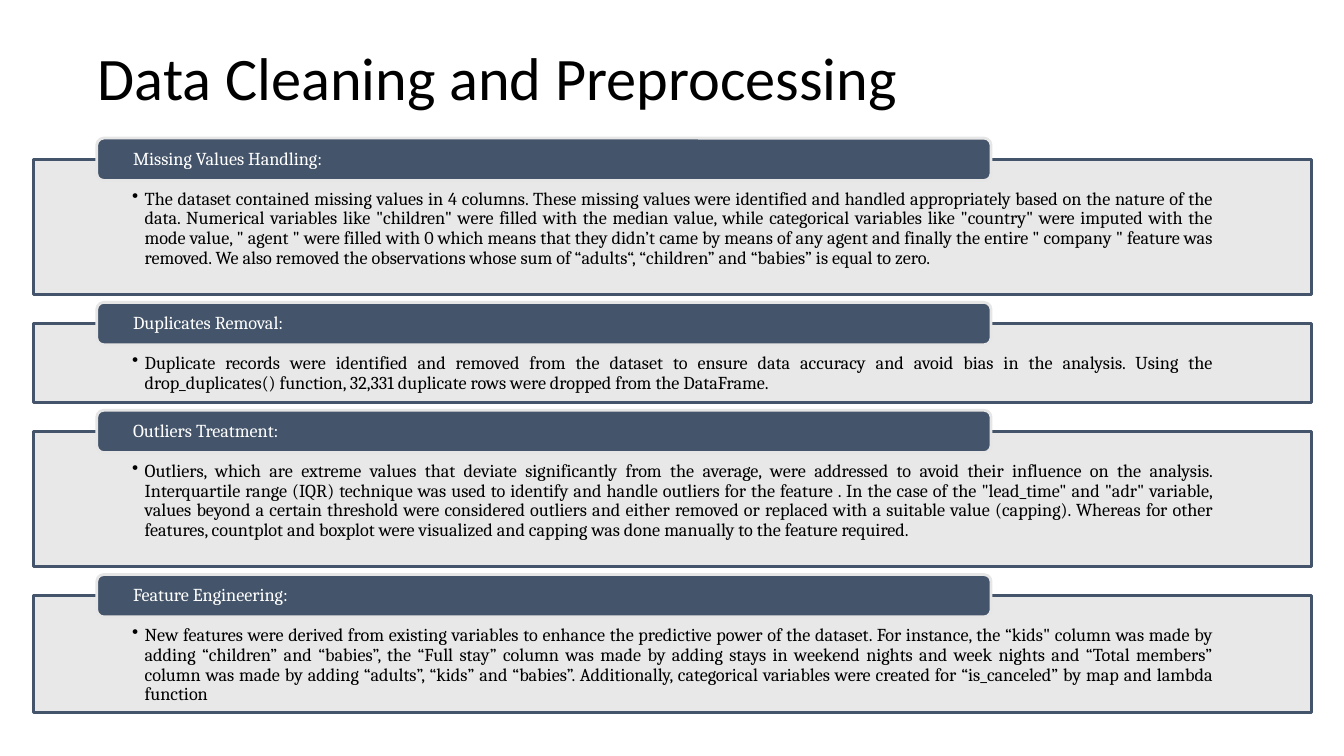
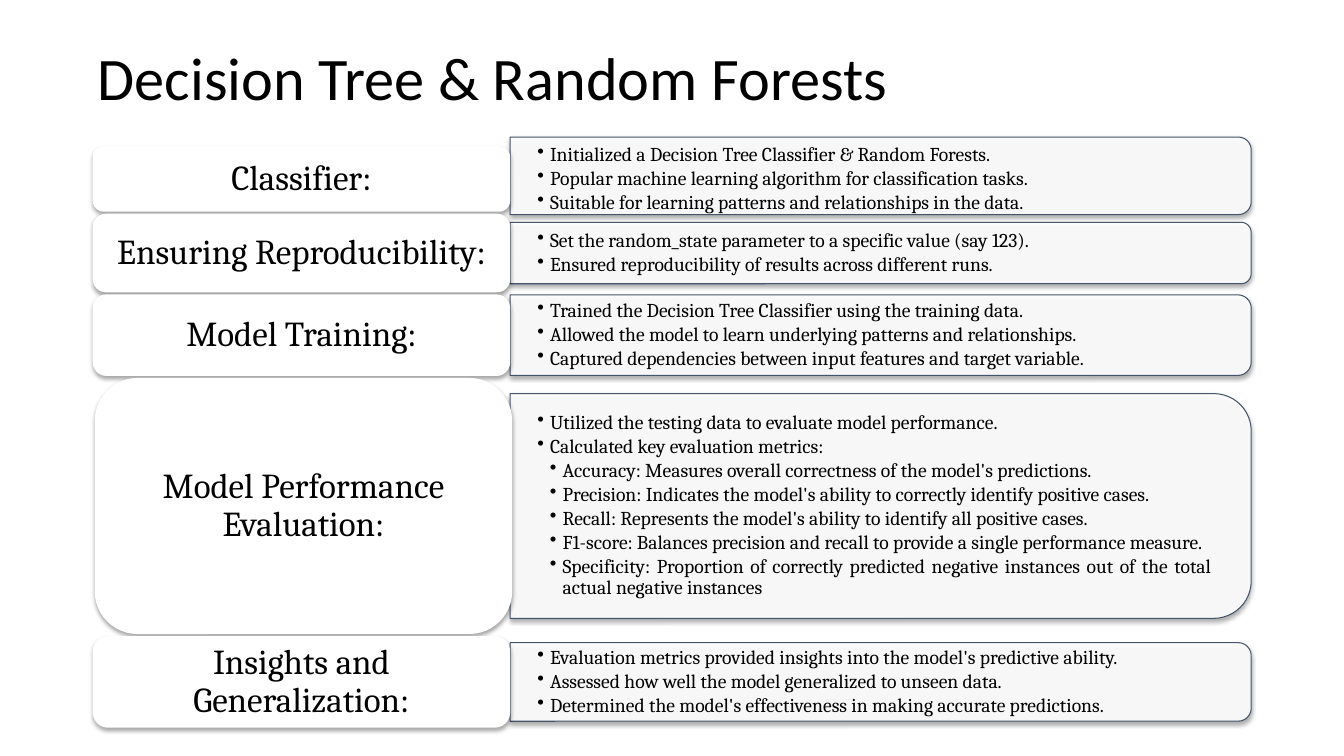
"""Build two slides on data preparation and tree-based classifiers."""
from dataclasses import dataclass

from lxml import etree
from pptx import Presentation
from pptx.dml.color import RGBColor
from pptx.enum.shapes import MSO_SHAPE
from pptx.enum.text import MSO_ANCHOR, MSO_AUTO_SIZE, PP_ALIGN
from pptx.oxml.ns import qn
from pptx.util import Inches, Pt

RECTANGLE = MSO_SHAPE.RECTANGLE
ROUNDED = MSO_SHAPE.ROUNDED_RECTANGLE
TOP_ROUNDED = MSO_SHAPE.ROUND_2_SAME_RECTANGLE
LEFT, CENTER, JUSTIFY = PP_ALIGN.LEFT, PP_ALIGN.CENTER, PP_ALIGN.JUSTIFY
TOP, MIDDLE = MSO_ANCHOR.TOP, MSO_ANCHOR.MIDDLE
NO_AUTOFIT = MSO_AUTO_SIZE.NONE
TITLE_ONLY = 5


@dataclass(frozen=True)
class Theme:
    """Colours, fonts and type sizes shared by the slides."""
    ink: str = "000000"
    white: str = "FFFFFF"
    slate: str = "44546A"
    mist: str = "E7E6E6"
    title_font: str = "Calibri"
    body_font: str = "Cambria"
    title_size: float = 43.1
    section_size: float = 13
    point_size: float = 14
    stage_size: float = 25


@dataclass(frozen=True)
class Section:
    """A preprocessing step: its heading, explanation and panel height."""
    heading: str
    explanation: str
    height: float


@dataclass(frozen=True)
class Point:
    """A bullet and its indent level."""
    text: str
    level: int = 1


@dataclass(frozen=True)
class Stage:
    """A modelling stage: its card, and the panel that lists its points."""
    name: str
    card_height: float
    panel_height: float
    points: tuple[Point, ...]
    card_left: float = 0.92
    panel_shift: float = 0


THEME = Theme()

SECTIONS = (
    Section(
        "Missing Values Handling:",
        "The dataset contained missing values in 4 columns. These missing values were identified and "
        "handled appropriately based on the nature of the data. Numerical variables like \"children\" "
        "were filled with the median value, while categorical variables like \"country\" were imputed "
        "with the mode value, \" agent \" were filled with 0 which means that they didn’t came by means "
        "of any agent and finally the entire \" company \" feature was removed. We also removed the "
        "observations whose sum of “adults“, “children” and “babies” is equal to zero.", 1.34),
    Section(
        "Duplicates Removal:",
        "Duplicate records were identified and removed from the dataset to ensure data accuracy and "
        "avoid bias in the analysis. Using the drop_duplicates() function, 32,331 duplicate rows were "
        "dropped from the DataFrame.", 0.78),
    Section(
        "Outliers Treatment:",
        "Outliers, which are extreme values that deviate significantly from the average, were addressed "
        "to avoid their influence on the analysis. Interquartile range (IQR) technique was used to "
        "identify and handle outliers for the feature . In the case of the \"lead_time\" and \"adr\" "
        "variable, values beyond a certain threshold were considered outliers and either removed or "
        "replaced with a suitable value (capping). Whereas for other features, countplot and boxplot "
        "were visualized and capping was done manually to the feature required.", 1.34),
    Section(
        "Feature Engineering:",
        "New features were derived from existing variables to enhance the predictive power of the "
        "dataset. For instance, the “kids\" column was made by adding “children” and “babies”, the "
        "“Full stay” column was made by adding stays in weekend nights and week nights and “Total "
        "members” column was made by adding “adults”, “kids” and “babies”. Additionally, categorical "
        "variables were created for “is_canceled” by map and lambda function", 1.16),
)

STAGES = (
    Stage("Classifier:", 0.65, 0.77, (
        Point("Initialized a Decision Tree Classifier & Random Forests."),
        Point("Popular machine learning algorithm for classification tasks."),
        Point("Suitable for learning patterns and relationships in the data."),
    ), panel_shift=-0.03),
    Stage("Ensuring Reproducibility:", 0.78, 0.61, (
        Point("Set the random_state parameter to a specific value (say 123)."),
        Point("Ensured reproducibility of results across different runs."),
    )),
    Stage("Model Training:", 0.81, 0.8, (
        Point("Trained the Decision Tree Classifier using the training data."),
        Point("Allowed the model to learn underlying patterns and relationships."),
        Point("Captured dependencies between input features and target variable."),
    )),
    Stage("Model Performance Evaluation:", 2.54, 2.23, (
        Point("Utilized the testing data to evaluate model performance."),
        Point("Calculated key evaluation metrics:"),
        Point("Accuracy: Measures overall correctness of the model's predictions.", 2),
        Point("Precision: Indicates the model's ability to correctly identify positive cases.", 2),
        Point("Recall: Represents the model's ability to identify all positive cases.", 2),
        Point("F1-score: Balances precision and recall to provide a single performance measure.", 2),
        Point("Specificity: Proportion of correctly predicted negative instances out of the total "
              "actual negative instances", 2),
    ), card_left=0.94),
    Stage("Insights and Generalization:", 0.91, 0.78, (
        Point("Evaluation metrics provided insights into the model's predictive ability."),
        Point("Assessed how well the model generalized to unseen data."),
        Point("Determined the model's effectiveness in making accurate predictions."),
    )),
)


def add_bullet(paragraph, level: int) -> None:
    """Give a paragraph a hanging round bullet at an indent level."""
    step = Inches(1 / 8)
    properties = paragraph._p.get_or_add_pPr()
    properties.set("marL", str(step * level))
    properties.set("indent", str(-step))
    colour = etree.SubElement(properties, qn("a:buClr"))
    etree.SubElement(colour, qn("a:srgbClr"), val=THEME.ink)
    etree.SubElement(properties, qn("a:buChar"), char="•")


def write_text(frame, text: str, *, size: float, color: str = THEME.ink, font: str = THEME.body_font,
               align=JUSTIFY, bullet_level: int = 0) -> None:
    """Write a paragraph, filling the empty first one before adding more."""
    is_first = not frame.paragraphs[0].runs
    paragraph = frame.paragraphs[0] if is_first else frame.add_paragraph()
    if bullet_level:
        add_bullet(paragraph, bullet_level)
    paragraph.alignment = align
    paragraph.line_spacing = 0.9
    paragraph.space_before = Pt(0 if is_first else 2)
    run = paragraph.add_run()
    run.text = text
    run.font.name = font
    run.font.size = Pt(size)
    run.font.color.rgb = RGBColor.from_string(color)


def set_frame(frame, left: float, top: float, right: float, bottom: float, anchor=MIDDLE) -> None:
    """Set the insets, anchor and wrapping of a text frame."""
    frame.word_wrap = True
    frame.auto_size = NO_AUTOFIT
    frame.vertical_anchor = anchor
    frame.margin_left, frame.margin_top = Inches(left), Inches(top)
    frame.margin_right, frame.margin_bottom = Inches(right), Inches(bottom)


def add_block(slide, kind, left: float, top: float, width: float, height: float, *, fill: str,
              line: str | None = None, line_width: float = 2, opacity: int = 100,
              shadow: bool = False):
    """Draw a filled shape with an optional outline, opacity and soft shadow."""
    block = slide.shapes.add_shape(kind, Inches(left), Inches(top), Inches(width), Inches(height))
    block.fill.solid()
    block.fill.fore_color.rgb = RGBColor.from_string(fill)
    if line:
        block.line.color.rgb = RGBColor.from_string(line)
        block.line.width = Pt(line_width)
    else:
        block.line.fill.background()
    block.shadow.inherit = False
    properties = block._element.spPr
    if opacity < 100:
        colour = properties.find(qn("a:solidFill"))[0]
        etree.SubElement(colour, qn("a:alpha"), val=str(opacity * 1000))
    if shadow:
        outer = etree.SubElement(properties.find(qn("a:effectLst")), qn("a:outerShdw"),
                                 blurRad=str(Pt(3)), dist=str(Pt(1.8)), dir="5400000",
                                 rotWithShape="0")
        colour = etree.SubElement(outer, qn("a:srgbClr"), val=THEME.ink)
        etree.SubElement(colour, qn("a:alpha"), val="35000")
    return block


def add_titled_slide(deck, text: str):
    """Add a title-only slide and format its title."""
    slide = deck.slides.add_slide(deck.slide_layouts[TITLE_ONLY])
    title = slide.shapes.title
    title.left, title.top = Inches(0.92), Inches(0.4)
    title.width, title.height = Inches(11.5), Inches(1.45)
    set_frame(title.text_frame, 0.05, 0.05, 0.05, 0.7)
    write_text(title.text_frame, text, size=THEME.title_size, font=THEME.title_font, align=LEFT)
    return slide


def add_section(slide, section: Section, top: float) -> None:
    """Draw an explanation panel with its heading over the top edge."""
    panel = add_block(slide, RECTANGLE, 0.33, top, 12.68, section.height,
                      fill=THEME.mist, line=THEME.slate, opacity=90)
    set_frame(panel.text_frame, 0.98, 0.3, 0.99, 0, TOP)
    write_text(panel.text_frame, section.explanation, size=THEME.section_size, bullet_level=1)
    heading = add_block(slide, ROUNDED, 0.96, top - 0.21, 8.87, 0.42,
                        fill=THEME.slate, line=THEME.mist)
    set_frame(heading.text_frame, 0.34, 0, 0.34, 0)
    write_text(heading.text_frame, section.heading, size=THEME.section_size, color=THEME.white)


def add_stage(slide, stage: Stage, top: float) -> None:
    """Draw a stage card and the panel of points centred beside it."""
    middle = top + stage.card_height / 2
    panel_left, panel_width = 5.06, 7.35
    panel = add_block(slide, TOP_ROUNDED, panel_left + (panel_width - stage.panel_height) / 2,
                      middle + stage.panel_shift - panel_width / 2, stage.panel_height, panel_width,
                      fill=THEME.white, line=THEME.slate, line_width=0.75, opacity=90, shadow=True)
    panel.rotation = 90
    points = slide.shapes.add_textbox(Inches(5.19), Inches(middle - stage.panel_height / 2),
                                      Inches(6.97), Inches(stage.panel_height))
    set_frame(points.text_frame, 0.14, 0, 0.14, 0)
    for point in stage.points:
        write_text(points.text_frame, point.text, size=THEME.point_size, bullet_level=point.level)
    card = add_block(slide, ROUNDED, stage.card_left, top, 4.14, stage.card_height,
                     fill=THEME.white, shadow=True)
    set_frame(card.text_frame, 0.05, 0.05, 0.05, 0.05)
    write_text(card.text_frame, stage.name, size=THEME.stage_size, align=CENTER)


def build_preprocessing(deck) -> None:
    """Build the slide on data cleaning."""
    slide = add_titled_slide(deck, "Data Cleaning and Preprocessing")
    top = 1.58
    for section in SECTIONS:
        add_section(slide, section, top)
        top += section.height + 0.29


def build_modelling(deck) -> None:
    """Build the slide on the classifiers."""
    slide = add_titled_slide(deck, "Decision Tree & Random Forests")
    top = 1.45
    for stage in STAGES:
        add_stage(slide, stage, top)
        top += stage.card_height + 0.02


def main() -> None:
    """Build and save the deck."""
    deck = Presentation()
    deck.slide_width, deck.slide_height = Inches(13.33), Inches(7.5)
    build_preprocessing(deck)
    build_modelling(deck)
    deck.save("out.pptx")


if __name__ == "__main__":
    main()
